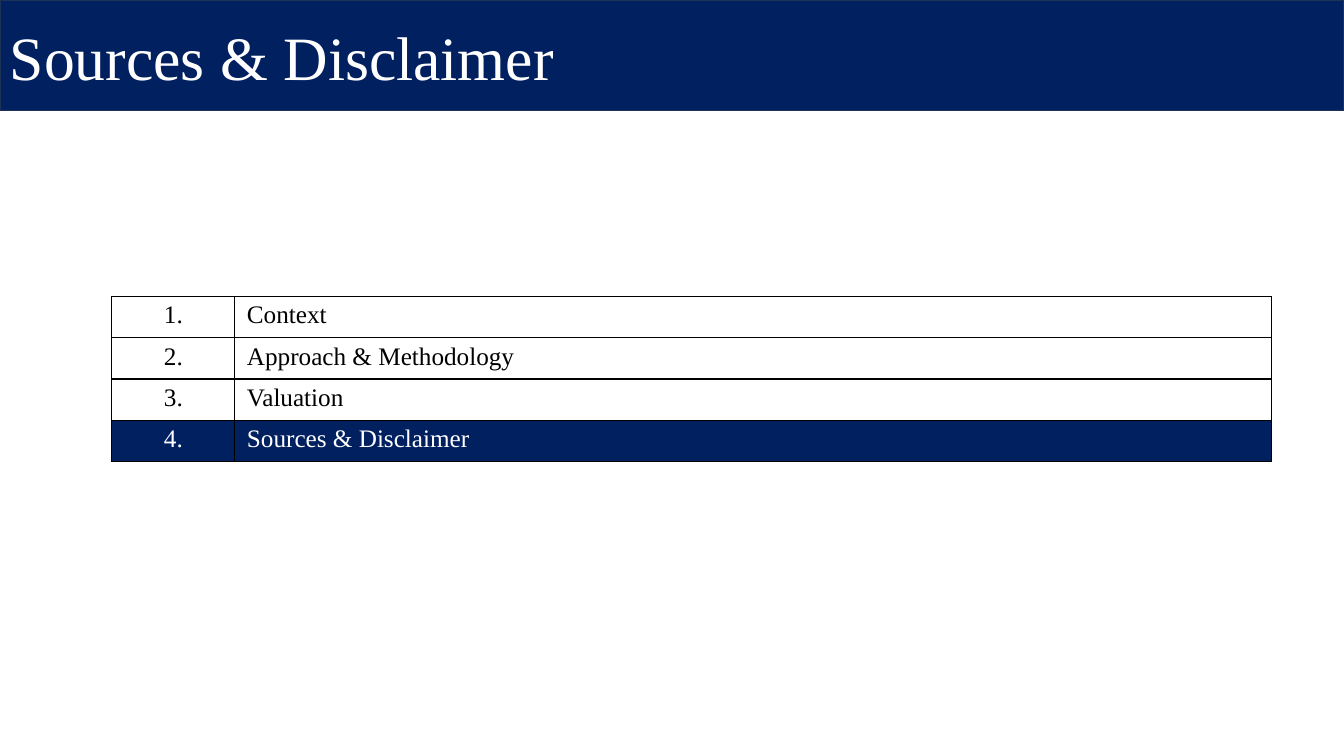
from lxml import etree
from pptx import Presentation, util as u
from pptx.dml.color import RGBColor
from pptx.enum import shapes, text
from pptx.oxml import ns

TITLE = "Sources & Disclaimer"
SECTIONS = ["Context", "Approach & Methodology", "Valuation", "Sources & Disclaimer"]
CURRENT = 4
COLORS = {"navy": "002060", "edge": "1E3256", "white": "FFFFFF", "black": "000000"}
FONT = "Times New Roman"
WIDTH, HEIGHT = 13.33, 7.5
BANNER_HEIGHT = 1.1
TABLE_LEFT, TABLE_TOP = 1.11, 2.94
COLUMNS = [1.22, 10.28]
ROW_HEIGHT = 0.41


def color(name):
    return RGBColor.from_string(COLORS[name])


def add_text(frame, content, size, color_name, align):
    paragraph = frame.paragraphs[0]
    paragraph.alignment = align
    run = paragraph.add_run()
    run.text = content
    run.font.name = FONT
    run.font.size = u.Pt(size)
    run.font.bold = False
    run.font.color.rgb = color(color_name)


def add_borders(cell):
    properties = cell._tc.get_or_add_tcPr()
    for side in ("a:lnL", "a:lnR", "a:lnT", "a:lnB"):
        line = etree.SubElement(properties, ns.qn(side), w=str(u.Pt(1)))
        fill = etree.SubElement(line, ns.qn("a:solidFill"))
        etree.SubElement(fill, ns.qn("a:srgbClr"), val=COLORS["black"])


def add_banner(slide):
    banner = slide.shapes.add_shape(
        shapes.MSO_SHAPE.RECTANGLE, 0, 0, u.Inches(WIDTH), u.Inches(BANNER_HEIGHT))
    banner.shadow.inherit = False
    banner.fill.solid()
    banner.fill.fore_color.rgb = color("navy")
    banner.line.color.rgb = color("edge")
    banner.line.width = u.Pt(1)
    banner.text_frame.vertical_anchor = text.MSO_ANCHOR.MIDDLE
    add_text(banner.text_frame, TITLE, 44, "white", text.PP_ALIGN.LEFT)


def add_agenda(slide):
    table = slide.shapes.add_table(
        len(SECTIONS), len(COLUMNS), u.Inches(TABLE_LEFT), u.Inches(TABLE_TOP),
        u.Inches(sum(COLUMNS)), u.Inches(ROW_HEIGHT * len(SECTIONS))).table
    table.first_row = False
    table.horz_banding = False
    for column, width in zip(table.columns, COLUMNS):
        column.width = u.Inches(width)
    aligns = (text.PP_ALIGN.CENTER, text.PP_ALIGN.LEFT)
    for number, (row, section) in enumerate(zip(table.rows, SECTIONS), start=1):
        row.height = u.Inches(ROW_HEIGHT)
        is_current = number == CURRENT
        for cell, content, align in zip(row.cells, (f"{number}.", section), aligns):
            cell.margin_left = cell.margin_right = u.Inches(0.12)
            cell.margin_top = cell.margin_bottom = u.Inches(0.05)
            add_borders(cell)
            if is_current:
                cell.fill.solid()
                cell.fill.fore_color.rgb = color("navy")
            else:
                cell.fill.background()
            add_text(cell.text_frame, content, 18, "white" if is_current else "black", align)


def main():
    presentation = Presentation()
    presentation.slide_width = u.Inches(WIDTH)
    presentation.slide_height = u.Inches(HEIGHT)
    slide = presentation.slides.add_slide(presentation.slide_layouts[6])
    add_banner(slide)
    add_agenda(slide)
    presentation.save("out.pptx")


if __name__ == "__main__":
    main()
